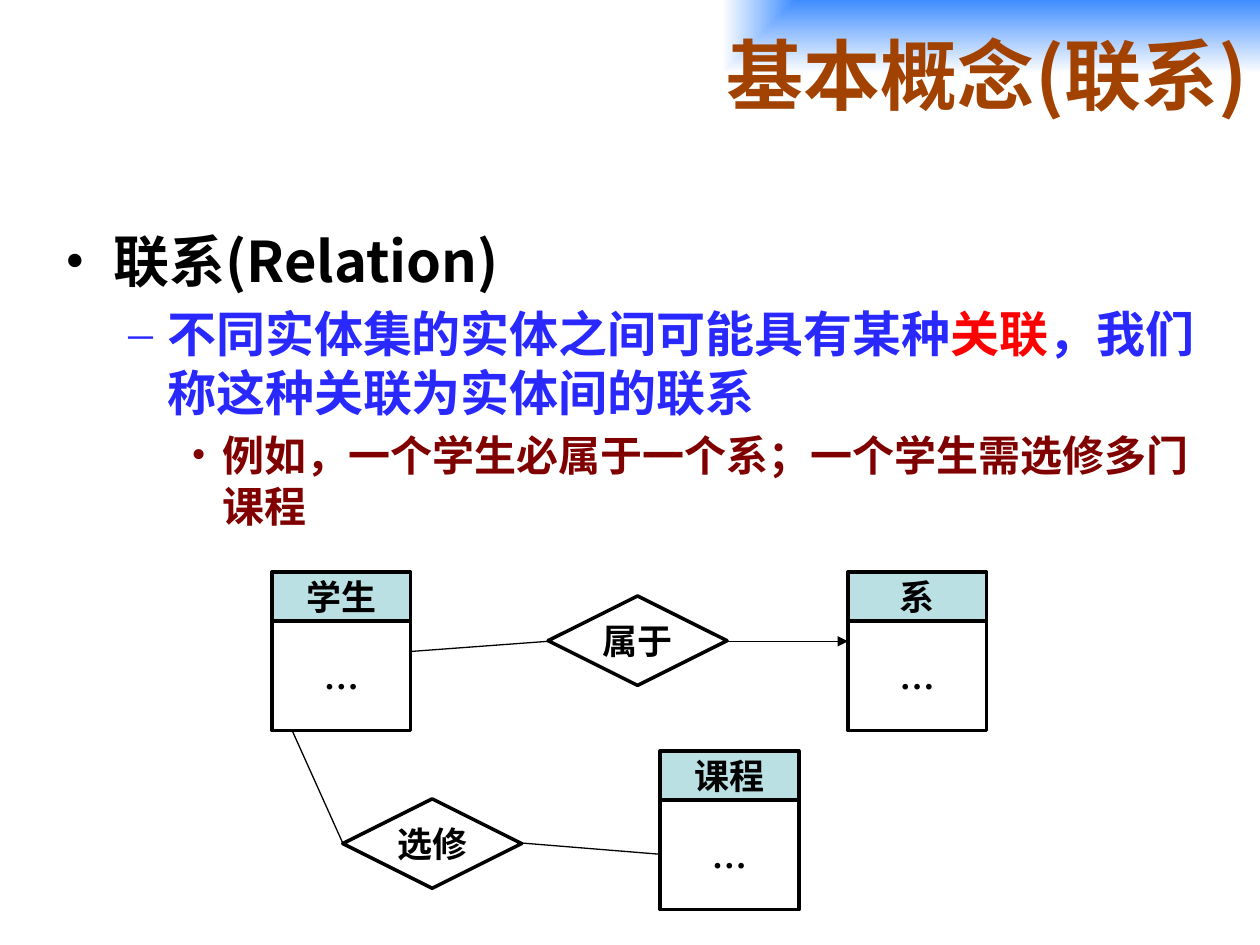
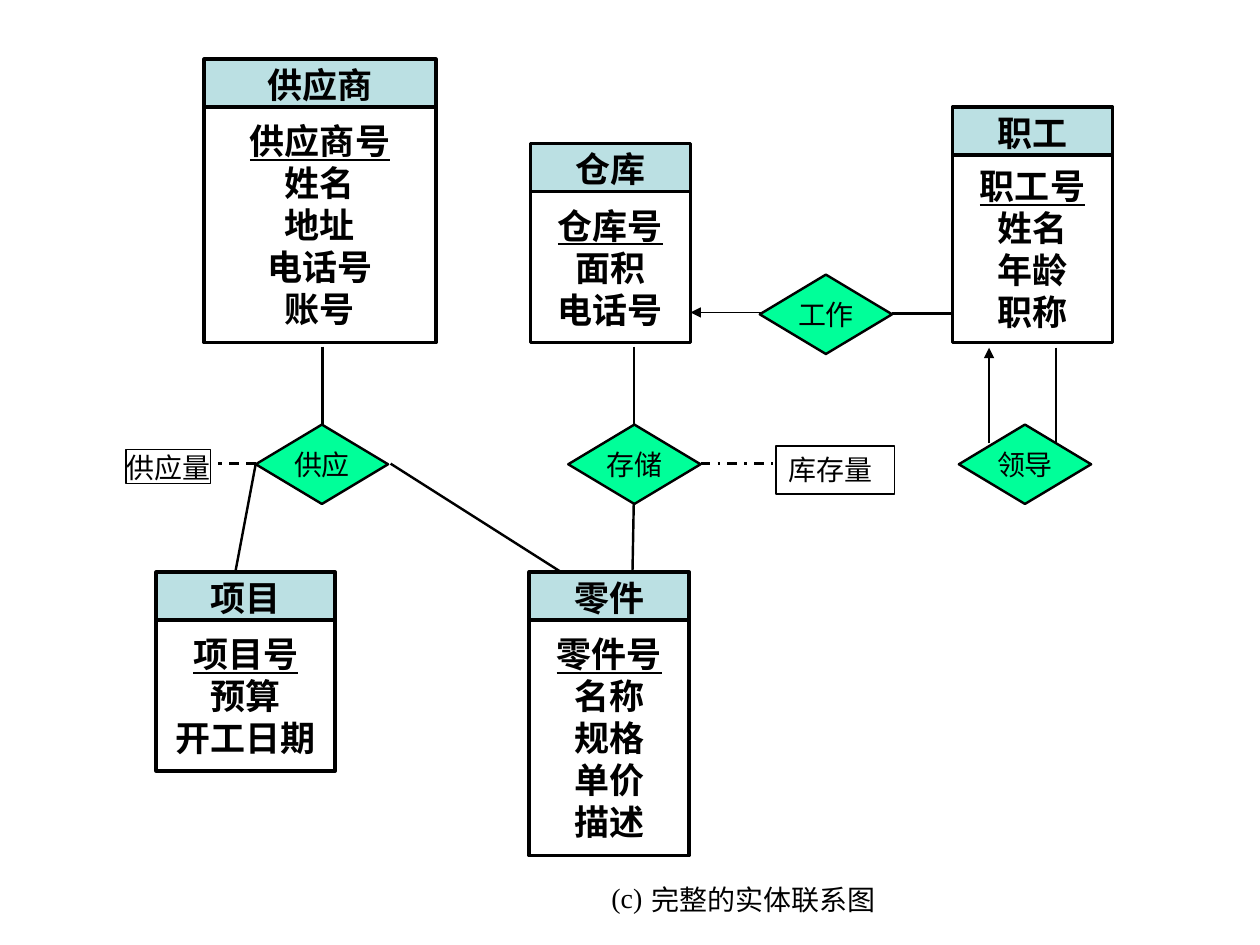
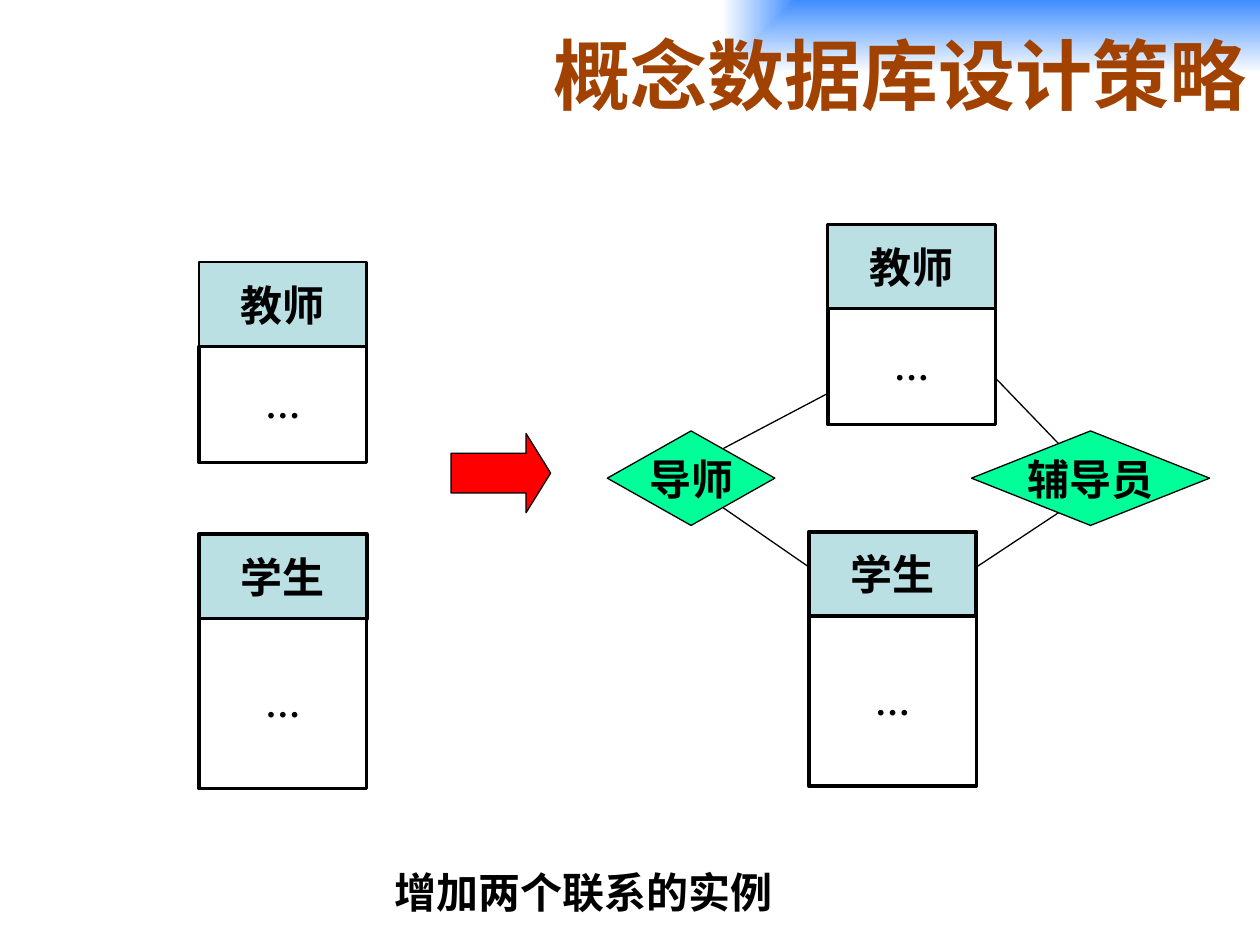
"""Build three slides on entities and the links between them."""
from dataclasses import dataclass, replace
from typing import NamedTuple, Optional

from lxml.etree import SubElement
from pptx import Presentation
from pptx.dml.color import RGBColor
from pptx.enum.dml import MSO_LINE
from pptx.enum.shapes import MSO_CONNECTOR, MSO_SHAPE
from pptx.enum.text import MSO_ANCHOR, PP_ALIGN
from pptx.oxml import parse_xml
from pptx.oxml.ns import nsdecls, qn
from pptx.util import Emu, Inches, Pt

WIDTH, HEIGHT = Inches(10), Inches(7.5)
COLS = 100
CELL = WIDTH // COLS


@dataclass(frozen=True)
class Look:
    """Type size, fonts, colour and weight of a run."""
    size: int
    latin: str
    east: str
    color: str = "000000"
    bold: bool = True
    under: bool = False


SANS, JAPAN, SERIF = "Noto Sans CJK SC", "Noto Sans CJK JP", "Times New Roman"


@dataclass(frozen=True)
class Theme:
    """Colours and type of the whole deck."""
    ink: str = "000000"
    paper: str = "FFFFFF"
    head: str = "BBE0E3"
    mint: str = "00FF99"
    red: str = "FF0000"
    sky: str = "3F8DFF"
    thin: float = 0.75
    firm: float = 1.38
    thick: float = 2
    title: Look = Look(44, SANS, SANS, "A24200")
    topic: Look = Look(32, JAPAN, JAPAN)
    point: Look = Look(28, JAPAN, JAPAN, "2929FF")
    stress: Look = Look(28, JAPAN, JAPAN, "FF0000")
    detail: Look = Look(24, JAPAN, JAPAN, "800000")
    label: Look = Look(20, JAPAN, JAPAN)
    field: Look = Look(20, SERIF, SANS)
    dots: Look = Look(20, SERIF, SERIF)
    large: Look = Look(24, "Open Sans", SANS)
    small: Look = Look(16, SANS, SANS, bold=False)
    mark: Look = Look(16, SERIF, SERIF, bold=False)


THEME = Theme()


class Spot(NamedTuple):
    """Place and size in grid cells."""
    x: float
    y: float
    w: float
    h: float


class Run(NamedTuple):
    """Words in one look."""
    text: str
    look: Look


class Point(NamedTuple):
    """Bulleted line with its left edge and hang in inches."""
    runs: list
    sign: str
    left: float
    hang: float


class Table(NamedTuple):
    """Entity box: a head above a body of fields."""
    name: str
    x: float
    y: float
    w: float
    top: float
    step: float
    body: float
    look: Look
    fields: tuple = ()
    edge: float = THEME.thick


class Gem(NamedTuple):
    """Diamond that names a link."""
    name: str
    x: float
    y: float
    w: float
    h: float


class Link(NamedTuple):
    """Line from one grid point to another."""
    x: float
    y: float
    to_x: float
    to_y: float
    edge: float = THEME.thin
    arrow: bool = False
    dash: Optional[MSO_LINE] = None


def span(cells: float) -> Emu:
    """Turn grid cells into a length."""
    return Emu(round(cells * CELL))


def paint(shape, fill: Optional[str], edge: float, ink: str = THEME.ink) -> None:
    """Set fill and outline."""
    shape.shadow.inherit = False
    if fill:
        shape.fill.solid()
        shape.fill.fore_color.rgb = RGBColor.from_string(fill)
    else:
        shape.fill.background()
    if edge:
        shape.line.color.rgb = RGBColor.from_string(ink)
        shape.line.width = Pt(edge)
    else:
        shape.line.fill.background()


def block(slide, form: MSO_SHAPE, spot: Spot, fill: Optional[str] = None,
          edge: float = THEME.thin, ink: str = THEME.ink):
    """Draw a preset shape."""
    shape = slide.shapes.add_shape(form, *map(span, spot))
    paint(shape, fill, edge, ink)
    return shape


def add_run(para, run: Run) -> None:
    """Append one run."""
    look = run.look
    part = para.add_run()
    part.text = run.text
    font = part.font
    font.size, font.bold, font.underline = Pt(look.size), look.bold, look.under
    font.name = look.latin
    font.color.rgb = RGBColor.from_string(look.color)
    SubElement(part._r.get_or_add_rPr(), qn("a:ea"), typeface=look.east)


def write(shape, lines: list, align=PP_ALIGN.CENTER, wrap: bool = False,
          side: float = 0) -> None:
    """Fill a shape with lines, centred in height."""
    frame = shape.text_frame
    frame.word_wrap = wrap
    frame.vertical_anchor = MSO_ANCHOR.MIDDLE
    frame.margin_top = frame.margin_bottom = 0
    frame.margin_left = frame.margin_right = span(side)
    for i, run in enumerate(lines):
        para = frame.add_paragraph() if i else frame.paragraphs[0]
        para.alignment = align
        if len(lines) > 1:
            para.line_spacing = Pt(1.2 * run.look.size)
        add_run(para, run)


def words(slide, spot: Spot, text: str, look: Look,
          align=PP_ALIGN.CENTER, side: float = 0) -> None:
    """Place a free line of text."""
    box = slide.shapes.add_textbox(*map(span, spot))
    write(box, [Run(text, look)], align, side=side)


def band(slide, text: str) -> None:
    """Draw the title on its blue glow."""
    shape = block(slide, MSO_SHAPE.RECTANGLE, Spot(14.6, 0, 85.4, 11.7), edge=0)
    props = shape.element.spPr
    glow = parse_xml(
        f'<a:gradFill {nsdecls("a")} rotWithShape="1"><a:gsLst>'
        f'<a:gs pos="0"><a:srgbClr val="{THEME.sky}"/></a:gs>'
        f'<a:gs pos="100000"><a:srgbClr val="{THEME.paper}"/></a:gs></a:gsLst>'
        '<a:path path="rect"><a:fillToRect l="100000" b="100000"/></a:path>'
        '</a:gradFill>')
    props.replace(props.find(qn("a:noFill")), glow)
    write(shape, [Run(text, THEME.title)], PP_ALIGN.RIGHT, True, 1)


def outline(slide, spot: Spot, points: list) -> None:
    """Write the bulleted text."""
    frame = slide.shapes.add_textbox(*map(span, spot)).text_frame
    frame.word_wrap = True
    for i, point in enumerate(points):
        para = frame.add_paragraph() if i else frame.paragraphs[0]
        para.level = i
        size = point.runs[0].look.size
        para.space_before = Pt(0.2 * size)
        para.line_spacing = Pt(1.2 * size)
        props = para._p.get_or_add_pPr()
        props.set("marL", str(Inches(point.left)))
        props.set("indent", str(-Inches(point.hang)))
        SubElement(props, qn("a:buFont"), typeface=SERIF)
        SubElement(props, qn("a:buChar"), char=point.sign)
        for run in point.runs:
            add_run(para, run)


def table(slide, item: Table) -> None:
    """Draw an entity with its key underlined."""
    head = block(slide, MSO_SHAPE.RECTANGLE, Spot(item.x, item.y, item.w, item.top),
                 THEME.head, item.edge)
    write(head, [Run(item.name, item.look)])
    body = block(slide, MSO_SHAPE.RECTANGLE,
                 Spot(item.x, item.y + item.step, item.w, item.body),
                 THEME.paper, THEME.thick)
    lines = [Run(text, replace(item.look, under=i == 0))
             for i, text in enumerate(item.fields)]
    write(body, lines or [Run("…", THEME.dots)])


def gem(slide, item: Gem, look: Look, fill: Optional[str] = None,
        edge: float = THEME.thin) -> None:
    """Draw a diamond and its name."""
    spot = Spot(*item[1:])
    block(slide, MSO_SHAPE.FLOWCHART_DECISION, spot, fill, edge)
    words(slide, spot, item.name, look)


def link(slide, item: Link) -> None:
    """Draw a line, with an arrow if asked."""
    line = slide.shapes.add_connector(
        MSO_CONNECTOR.STRAIGHT, *map(span, item[:4]))
    line.line.color.rgb = RGBColor.from_string(THEME.ink)
    line.line.width = Pt(item.edge)
    if item.dash:
        line.line.dash_style = item.dash
    if item.arrow:
        SubElement(line.line._get_or_add_ln(), qn("a:tailEnd"), type="triangle")
    SubElement(line.element.spPr, qn("a:effectLst"))


def concept(slide) -> None:
    """Explain what a relation is."""
    band(slide, "基本概念(联系)")
    outline(slide, Spot(4.2, 17.5, 92.3, 49.5), [
        Point([Run("联系(Relation)", THEME.topic)], "•", 0.38, 0.38),
        Point([Run("不同实体集的实体之间可能具有某种", THEME.point),
               Run("关联", THEME.stress),
               Run("，我们称这种关联为实体间的联系", THEME.point)], "–", 0.81, 0.31),
        Point([Run("例如，一个学生必属于一个系；一个学生需选修多门课程",
                   THEME.detail)], "•", 1.25, 0.25)])
    for name, x, y in (("学生", 21.6, 45.4), ("课程", 52.4, 59.6), ("系", 67.3, 45.4)):
        table(slide, Table(name, x, y, 11, 3.9, 3.9, 8.7, THEME.label))
    for name, x, y in (("属于", 43.5, 47.3), ("选修", 27.2, 63.4)):
        gem(slide, Gem(name, x, y, 14.2, 7.1), THEME.label, edge=THEME.thick)
    for item in (Link(32.7, 51.7, 43.5, 50.9),
                 Link(57.7, 50.9, 67.3, 50.9, arrow=True),
                 Link(23.2, 58, 27.2, 66.9),
                 Link(41.3, 66.9, 52.4, 67.8)):
        link(slide, item)


def diagram(slide) -> None:
    """Draw the full entity diagram."""
    firm = THEME.firm
    for name, x, y in (("工作", 60.3, 21.8), ("领导", 76.1, 33.7),
                       ("存储", 45.1, 33.7), ("供应", 20.3, 33.7)):
        gem(slide, Gem(name, x, y, 10.5, 6.3), THEME.small, THEME.mint, firm)
    for item in (Link(70.8, 24.9, 75.5, 24.9, firm),
                 Link(78.5, 35.2, 78.5, 27.6, firm, True),
                 Link(83.8, 27.6, 83.8, 35.2, firm),
                 Link(50.3, 27.5, 50.3, 33.7, firm),
                 Link(55.6, 36.8, 61.6, 36.8, firm, dash=MSO_LINE.DASH_DOT),
                 Link(20.3, 36.8, 17.3, 36.8, firm, dash=MSO_LINE.DASH),
                 Link(25.6, 27.5, 25.6, 33.7, firm),
                 Link(20.3, 36.8, 18.7, 45.3, firm),
                 Link(50.3, 39.9, 50.2, 45.4, firm),
                 Link(31, 36.8, 45, 45.7, firm),
                 Link(60.6, 24.8, 54.8, 24.8, arrow=True)):
        link(slide, item)
    supply = block(slide, MSO_SHAPE.RECTANGLE, Spot(10, 35.7, 6.7, 2.7))
    write(supply, [Run("供应量", THEME.small)])
    block(slide, MSO_SHAPE.RECTANGLE, Spot(61.6, 35.4, 9.4, 3.8))
    stock = block(slide, MSO_SHAPE.RECTANGLE, Spot(62.6, 35.9, 7.7, 2.7),
                  ink=THEME.paper)
    stock.line.dash_style = MSO_LINE.DASH
    write(stock, [Run("库存量", THEME.small)], PP_ALIGN.LEFT, True)
    words(slide, Spot(48.5, 69.9, 2.5, 2.7), "(c)", THEME.mark)
    words(slide, Spot(51.7, 70, 17.8, 2.7), "完整的实体联系图", THEME.small)
    for name, x, y, w, body, fields in (
            ("供应商", 16.2, 4.7, 18.4, 18.7,
             ("供应商号", "姓名", "地址", "电话号", "账号")),
            ("仓库", 42.1, 11.4, 12.7, 12, ("仓库号", "面积", "电话号")),
            ("职工", 75.6, 8.5, 12.7, 14.9, ("职工号", "姓名", "年龄", "职称")),
            ("零件", 42, 45.4, 12.7, 18.7,
             ("零件号", "名称", "规格", "单价", "描述")),
            ("项目", 12.4, 45.4, 14.2, 12, ("项目号", "预算", "开工日期"))):
        table(slide, Table(name, x, y, w, 4, 3.8, body, THEME.field, fields))


def design(slide) -> None:
    """Show two links being added."""
    words(slide, Spot(30.3, 68.3, 43.3, 5), "增加两个联系的实例", THEME.large,
          PP_ALIGN.LEFT, 1)
    arrow = block(slide, MSO_SHAPE.RIGHT_ARROW, Spot(35.8, 34.4, 7.9, 6.3), THEME.red)
    arrow.adjustments[1] = 0.31
    band(slide, "概念数据库设计策略")
    for item in (Gem("导师", 48.2, 34.2, 13.3, 7.5),
                 Gem("辅导员", 77.1, 34.2, 18.9, 7.5)):
        gem(slide, item, THEME.large, THEME.mint)
    for item in (Link(66.5, 30.8, 57.4, 35.6), Link(57.4, 40.3, 64.2, 45),
                 Link(79, 30, 84, 35.2), Link(84, 40.7, 77.5, 45)):
        link(slide, item)
    for name, x, y, body, edge in (
            ("教师", 15.8, 20.8, 9.2, 1.5), ("学生", 15.8, 42.4, 13.5, 2.25),
            ("教师", 65.7, 17.8, 9.2, 1.5), ("学生", 64.2, 42.2, 13.5, 2.25)):
        table(slide, Table(name, x, y, 13.3, 6.7, 6.7, body, THEME.large, edge=edge))


def main() -> None:
    """Build and save the deck."""
    deck = Presentation()
    deck.slide_width, deck.slide_height = WIDTH, HEIGHT
    for draw in (concept, diagram, design):
        draw(deck.slides.add_slide(deck.slide_layouts[6]))
    deck.save("out.pptx")


if __name__ == "__main__":
    main()
